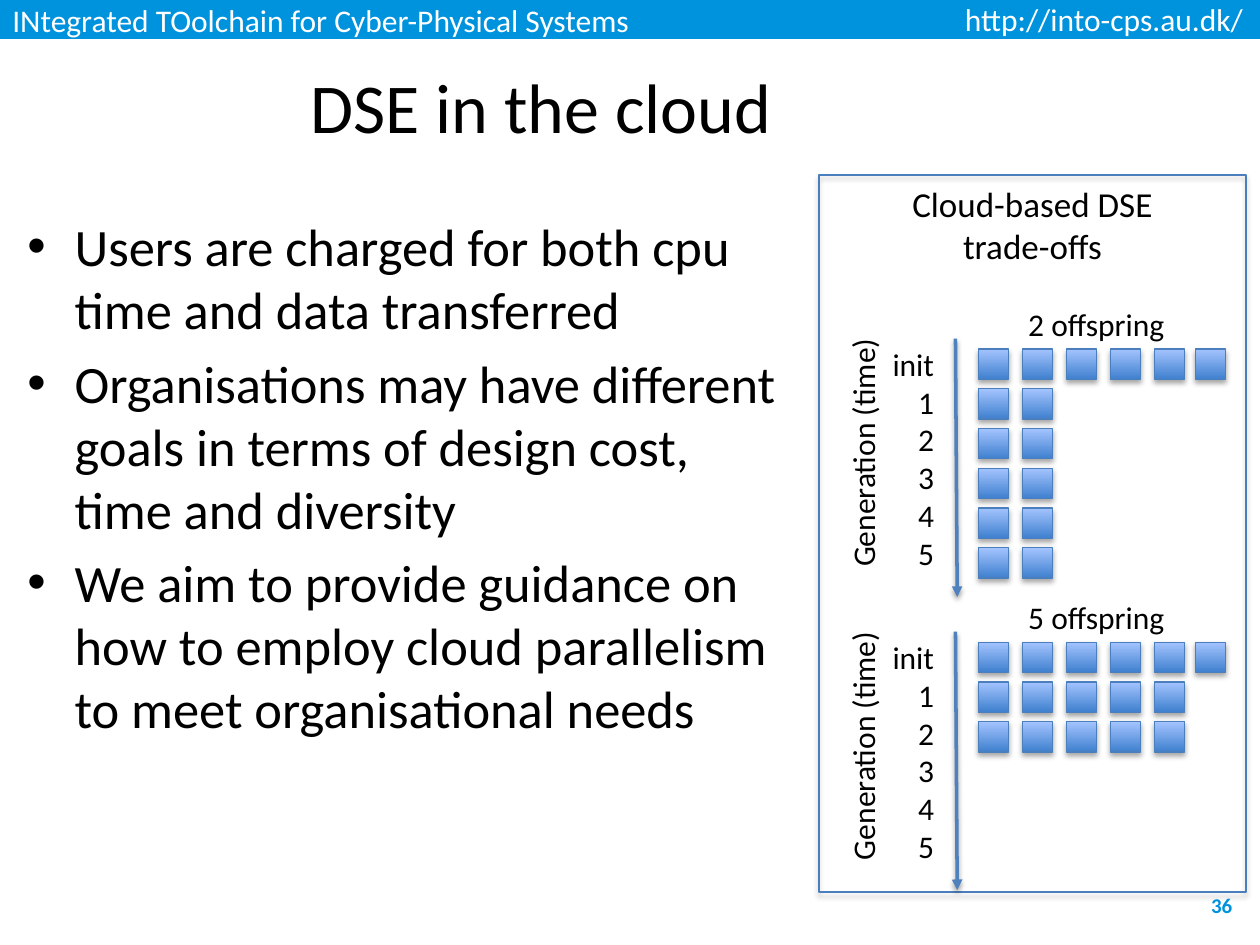
import lxml.etree
import pptx
import pptx.dml.color
import pptx.enum.shapes
import pptx.enum.text
import pptx.oxml.ns
import pptx.util

Pt = pptx.util.Pt
RGBColor = pptx.dml.color.RGBColor
ALIGN = pptx.enum.text.PP_ALIGN
ANCHOR = pptx.enum.text.MSO_ANCHOR
RECTANGLE = pptx.enum.shapes.MSO_SHAPE.RECTANGLE

BRAND_BLUE = RGBColor(0x00, 0x93, 0xDD)
OUTLINE_BLUE = RGBColor(0x4B, 0x7E, 0xBC)
ARROW_BLUE = RGBColor(0x4F, 0x81, 0xBD)
SQUARE_DARK = RGBColor(0x3F, 0x80, 0xCE)
SQUARE_LIGHT = RGBColor(0xA4, 0xC4, 0xFF)
BLACK = RGBColor(0x00, 0x00, 0x00)
WHITE = RGBColor(0xFF, 0xFF, 0xFF)

BULLETS = [
    "Users are charged for both cpu time and data transferred",
    "Organisations may have different goals in terms of design cost, time and diversity",
    "We aim to provide guidance on how to employ cloud parallelism to meet organisational needs",
]
GENERATIONS = ["init", "1", "2", "3", "4", "5"]
SQUARE_SIZE = 17.3
COLUMN_PITCH = 25.2
ROW_PITCH = 22.7
CHART_PITCH = 167.5


def add_child(parent, tag, **attributes):
    """Append a drawing element with the given attributes and return it."""
    child = lxml.etree.SubElement(parent, pptx.oxml.ns.qn(tag))
    for name, value in attributes.items():
        child.set(name, str(value))
    return child


def add_drop_shadow(effects, distance, opacity):
    """Put a soft black shadow below the owner of an effect list."""
    shadow = add_child(effects, "a:outerShdw", blurRad=Pt(3.1), dist=Pt(distance),
                       dir=90 * 60000, rotWithShape=0)
    color = add_child(shadow, "a:srgbClr", val=BLACK)
    add_child(color, "a:alpha", val=opacity * 1000)


def write_lines(frame, lines, size, color=BLACK, align=ALIGN.LEFT, bold=False):
    """Fill a text frame with one paragraph per line and return the paragraphs."""
    frame.text = "\n".join(lines)
    for paragraph in frame.paragraphs:
        paragraph.alignment = align
        paragraph.font.name = "Calibri"
        paragraph.font.size = Pt(size)
        paragraph.font.bold = bold
        paragraph.font.color.rgb = color
    return frame.paragraphs


def add_text(slide, box, lines, size, anchor=ANCHOR.TOP, wrap=True, **style):
    """Add a text box at (left, top, width, height) and return it."""
    shape = slide.shapes.add_textbox(*map(Pt, box))
    shape.text_frame.word_wrap = wrap
    shape.text_frame.vertical_anchor = anchor
    write_lines(shape.text_frame, lines, size, **style)
    return shape


def add_outlined_box(slide, box):
    """Add a thinly outlined rectangle with a drop shadow and return it."""
    shape = slide.shapes.add_shape(RECTANGLE, *map(Pt, box))
    shape.fill.background()
    shape.line.color.rgb = OUTLINE_BLUE
    shape.line.width = Pt(0.75)
    shape.shadow.inherit = False
    add_drop_shadow(shape._element.spPr.find(pptx.oxml.ns.qn("a:effectLst")), 1.8, 35)
    return shape


def add_square(slide, left, top):
    """Add one gradient square standing for a simulation."""
    square = add_outlined_box(slide, (left, top, SQUARE_SIZE, SQUARE_SIZE))
    square.fill.gradient()
    square.fill.gradient_angle = 90
    for stop, color in zip(square.fill.gradient_stops, (SQUARE_DARK, SQUARE_LIGHT)):
        stop.color.rgb = color


def add_time_arrow(slide, left, top, height):
    """Add the downward time arrow of a chart."""
    arrow = slide.shapes.add_connector(
        pptx.enum.shapes.MSO_CONNECTOR.STRAIGHT,
        Pt(left), Pt(top), Pt(left + 1), Pt(top + height))
    arrow.line.color.rgb = ARROW_BLUE
    arrow.line.width = Pt(2)
    add_child(arrow.line._get_or_add_ln(), "a:tailEnd", type="triangle")
    add_drop_shadow(add_child(arrow._element.spPr, "a:effectLst"), 1.6, 38)


def add_header(slide, box):
    """Add the coloured band with the project name and address."""
    left, top, width, height = box
    band = slide.shapes.add_shape(RECTANGLE, *map(Pt, box))
    band.shadow.inherit = False
    band.fill.solid()
    band.fill.fore_color.rgb = BRAND_BLUE
    band.line.fill.background()
    band.text_frame.vertical_anchor = ANCHOR.MIDDLE
    write_lines(band.text_frame, ["INtegrated TOolchain for Cyber-Physical Systems"], 18, WHITE)
    add_text(slide, (left + width - 175.7, top - 3.6, 175.7, 28.8),
             ["http://into-cps.au.dk/"], 18, color=WHITE)


def add_bullets(slide, box):
    """Add the bulleted body text."""
    shape = slide.shapes.add_textbox(*map(Pt, box))
    frame = shape.text_frame
    frame.word_wrap = True
    frame.text = "\n".join(BULLETS)
    for paragraph in frame.paragraphs:
        properties = paragraph._p.get_or_add_pPr()
        properties.set("marL", str(Pt(27)))
        properties.set("indent", str(Pt(-27)))
        add_child(properties, "a:buFont", typeface="Arial")
        add_child(properties, "a:buChar", char="•")
        paragraph.font.name = "Calibri"
        paragraph.font.size = Pt(30)
        paragraph.font.color.rgb = BLACK
    for paragraph in frame.paragraphs[1:]:
        paragraph.space_before = Pt(6)


def add_generation_chart(slide, box, title, row_lengths):
    """Add a chart with one row of squares per generation."""
    left, top, width, height = box
    add_time_arrow(slide, left + 78, top + 23, height)
    axis_title = add_text(slide, (left - 58.3, top + 73.8, 166.3, 28.8),
                          ["Generation (time)"], 18, align=ALIGN.CENTER)
    axis_title.rotation = 270
    add_text(slide, (left + 34, top + 23, 38.9, 138.2), GENERATIONS, 18,
             wrap=False, align=ALIGN.RIGHT)
    add_text(slide, (left + 112.5, top, 93.6, 28.8), [title], 18, wrap=False)
    for row, length in enumerate(row_lengths):
        for column in range(length):
            square_left = min(91 + column * COLUMN_PITCH, width - SQUARE_SIZE)
            add_square(slide, left + square_left, top + 29 + row * ROW_PITCH)


def add_trade_off_panel(slide, box):
    """Add the outlined panel with its heading and both charts."""
    left, top, width, height = box
    add_outlined_box(slide, box)
    add_text(slide, (left, top + 0.7, width, 55.4), ["Cloud-based DSE", "trade-offs"], 20,
             align=ALIGN.CENTER)
    charts = [("2 offspring", [6, 2, 2, 2, 2, 2]), ("5 offspring", [6, 5, 5])]
    for index, (title, row_lengths) in enumerate(charts):
        chart_box = (left, top + 70.5 + index * CHART_PITCH, width - 11.5, 147.6)
        add_generation_chart(slide, chart_box, title, row_lengths)


def main():
    """Build the slide and save it."""
    presentation = pptx.Presentation()
    presentation.slide_width = Pt(720)
    presentation.slide_height = Pt(540)
    slide = presentation.slides.add_slide(presentation.slide_layouts[6])
    add_header(slide, (0, 0, 720, 22.3))
    add_bullets(slide, (8.6, 118.8, 451.4, 378))
    add_text(slide, (8.6, 32.4, 601.2, 56.2), ["DSE in the cloud"], 40,
             anchor=ANCHOR.MIDDLE, align=ALIGN.CENTER)
    add_trade_off_panel(slide, (468, 100, 244, 409.7))
    add_text(slide, (598.3, 508.3, 113, 17.3), ["36"], 12, anchor=ANCHOR.MIDDLE,
             color=BRAND_BLUE, align=ALIGN.RIGHT, bold=True)
    presentation.save("out.pptx")


if __name__ == "__main__":
    main()
